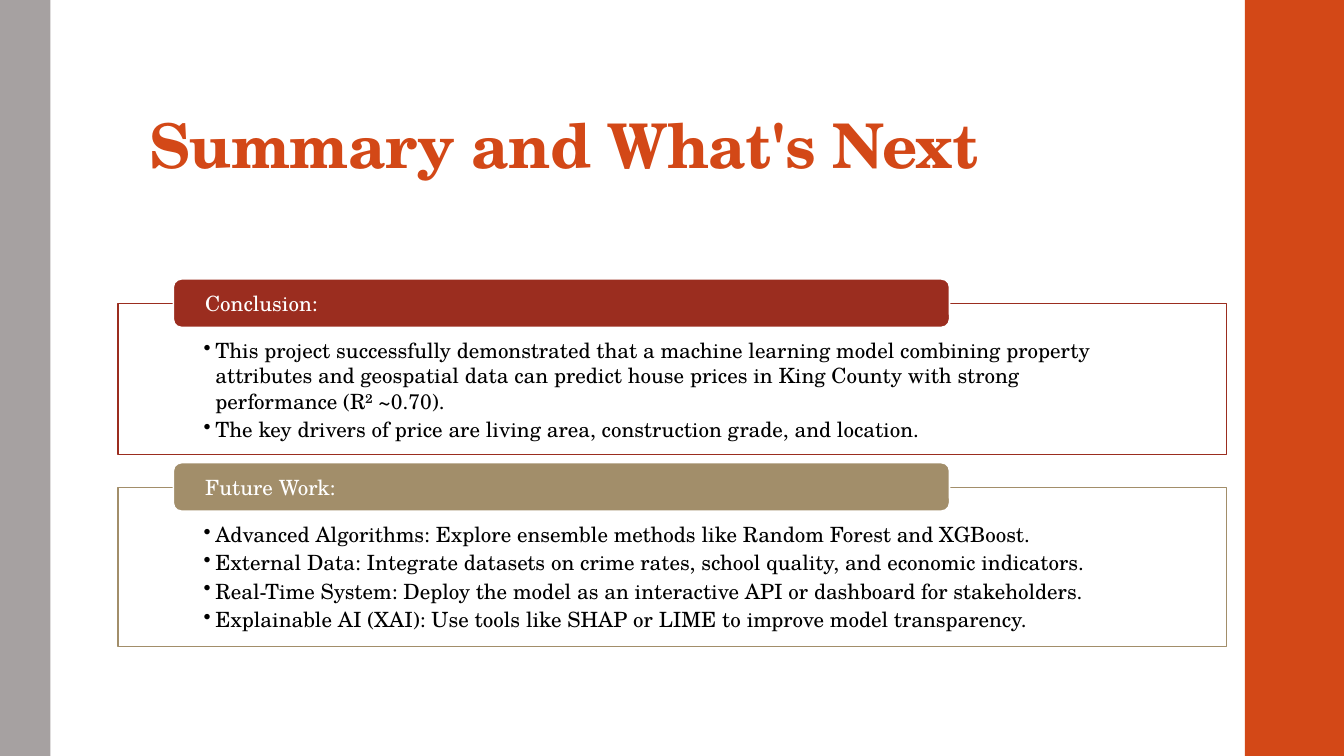
from pptx import Presentation
from pptx.dml.color import RGBColor
from pptx.enum.shapes import MSO_SHAPE
from pptx.enum.text import MSO_ANCHOR, PP_ALIGN
from pptx.oxml.ns import qn
from pptx.util import Cm, Pt
from lxml.etree import SubElement

COLORS = {
    "orange": "D34817",
    "gray": "A6A1A1",
    "red": "9B2D1F",
    "tan": "A28E6A",
    "white": "FFFFFF",
    "black": "000000",
}
FONT = "TeX Gyre Schola"
SLIDE_WIDTH, SLIDE_HEIGHT = 33.87, 19.05

SECTIONS = [
    ("Conclusion:", "red", 3.81, [
        "This project successfully demonstrated that a machine learning model "
        "combining property attributes and geospatial data can predict house "
        "prices in King County with strong performance (R² ~0.70).",
        "The key drivers of price are living area, construction grade, and location.",
    ]),
    ("Future Work:", "tan", 4.01, [
        "Advanced Algorithms: Explore ensemble methods like Random Forest and XGBoost.",
        "External Data: Integrate datasets on crime rates, school quality, and economic indicators.",
        "Real-Time System: Deploy the model as an interactive API or dashboard for stakeholders.",
        "Explainable AI (XAI): Use tools like SHAP or LIME to improve model transparency.",
    ]),
]
FIRST_FRAME_TOP = 7.65
FRAME_GAP = 0.82
HEADER_RISE = 0.62


class SlideBuilder:
    def __init__(self, slide):
        self.slide = slide

    def color(self, name):
        return RGBColor.from_string(COLORS[name])

    def box(self, bounds, fill, line=None, kind=MSO_SHAPE.RECTANGLE):
        shape = self.slide.shapes.add_shape(kind, *map(Cm, bounds))
        shape.shadow.inherit = False
        shape.fill.solid()
        shape.fill.fore_color.rgb = self.color(fill)
        if line:
            shape.line.color.rgb = self.color(line)
            shape.line.width = Pt(1.1)
        else:
            shape.line.fill.background()
        return shape

    def add_text(self, shape, lines, insets, anchor, size, color, bulleted=False):
        """Fill a shape with left-aligned paragraphs; insets run left, top, right, bottom."""
        frame = shape.text_frame
        frame.word_wrap = True
        frame.vertical_anchor = anchor
        (frame.margin_left, frame.margin_top,
         frame.margin_right, frame.margin_bottom) = map(Cm, insets)
        frame.text = "\n".join(lines)
        for paragraph in frame.paragraphs:
            if bulleted:
                self.bullet(paragraph)
            paragraph.alignment = PP_ALIGN.LEFT
            for run in paragraph.runs:
                run.font.name = FONT
                run.font.size = Pt(size)
                run.font.color.rgb = self.color(color)
        return frame

    def bullet(self, paragraph):
        properties = paragraph._p.get_or_add_pPr()
        properties.set("marL", str(Cm(0.3)))
        properties.set("indent", str(-Cm(0.3)))
        SubElement(properties, qn("a:buChar")).set("char", "•")
        paragraph.space_after = Pt(2.25)

    def title(self, text, bounds):
        textbox = self.slide.shapes.add_textbox(*map(Cm, bounds))
        frame = self.add_text(textbox, [text], (0.25, 0.08, 0.25, 0.13),
                              MSO_ANCHOR.BOTTOM, 44, "orange")
        paragraph = frame.paragraphs[0]
        paragraph.line_spacing = 0.9
        run = paragraph.runs[0]
        run.font.bold = True
        run._r.get_or_add_rPr().set("spc", "-50")

    def section(self, top, heading, accent, height, points):
        """Draw an outlined list with a heading tab over its top edge."""
        body = self.box((2.97, top, 27.94, height), "white", accent)
        self.add_text(body, points, (2.16, 0.86, 2.16, 0.3),
                      MSO_ANCHOR.TOP, 15, "black", bulleted=True)
        header = self.box((4.37, top - HEADER_RISE, 19.56, 1.22), accent, "white",
                          MSO_SHAPE.ROUNDED_RECTANGLE)
        self.add_text(header, [heading], (0.74, 0, 0.74, 0),
                      MSO_ANCHOR.MIDDLE, 15, "white")


def main():
    presentation = Presentation()
    presentation.slide_width = Cm(SLIDE_WIDTH)
    presentation.slide_height = Cm(SLIDE_HEIGHT)
    slide = presentation.slides.add_slide(presentation.slide_layouts[6])
    builder = SlideBuilder(slide)

    builder.box((31.37, 0, 2.5, SLIDE_HEIGHT), "orange")
    builder.box((0, 0, 1.27, SLIDE_HEIGHT), "gray")
    builder.title("Summary and What's Next", (3.51, 0.81, 26.92, 3.89))

    top = FIRST_FRAME_TOP
    for heading, accent, height, points in SECTIONS:
        builder.section(top, heading, accent, height, points)
        top += height + FRAME_GAP

    presentation.save("out.pptx")


if __name__ == "__main__":
    main()
